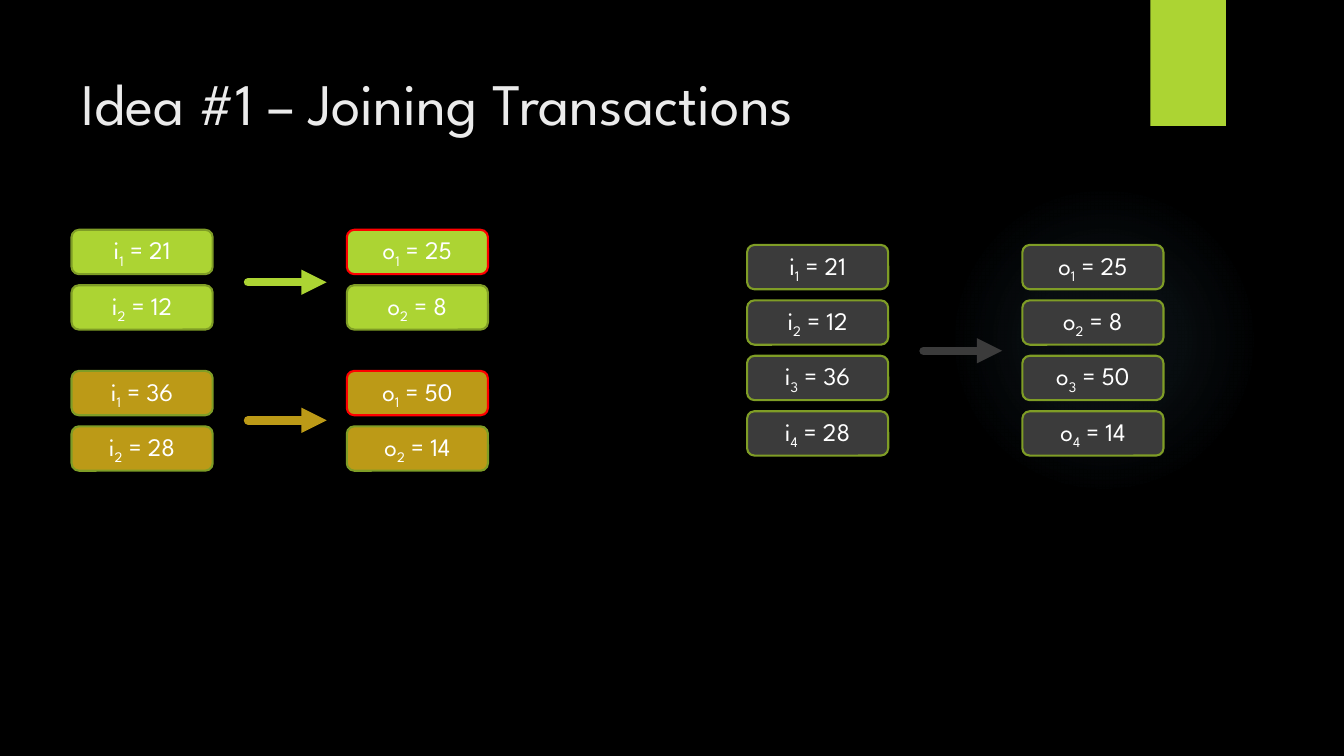
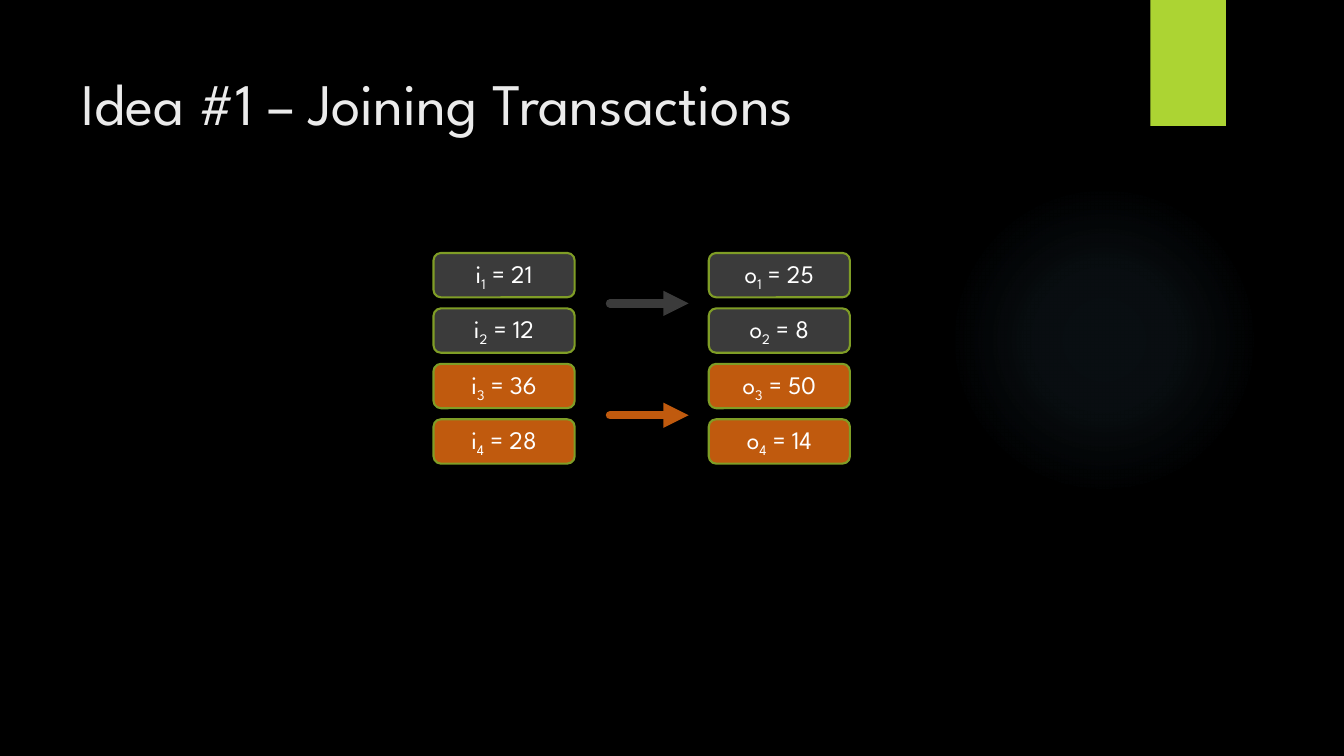
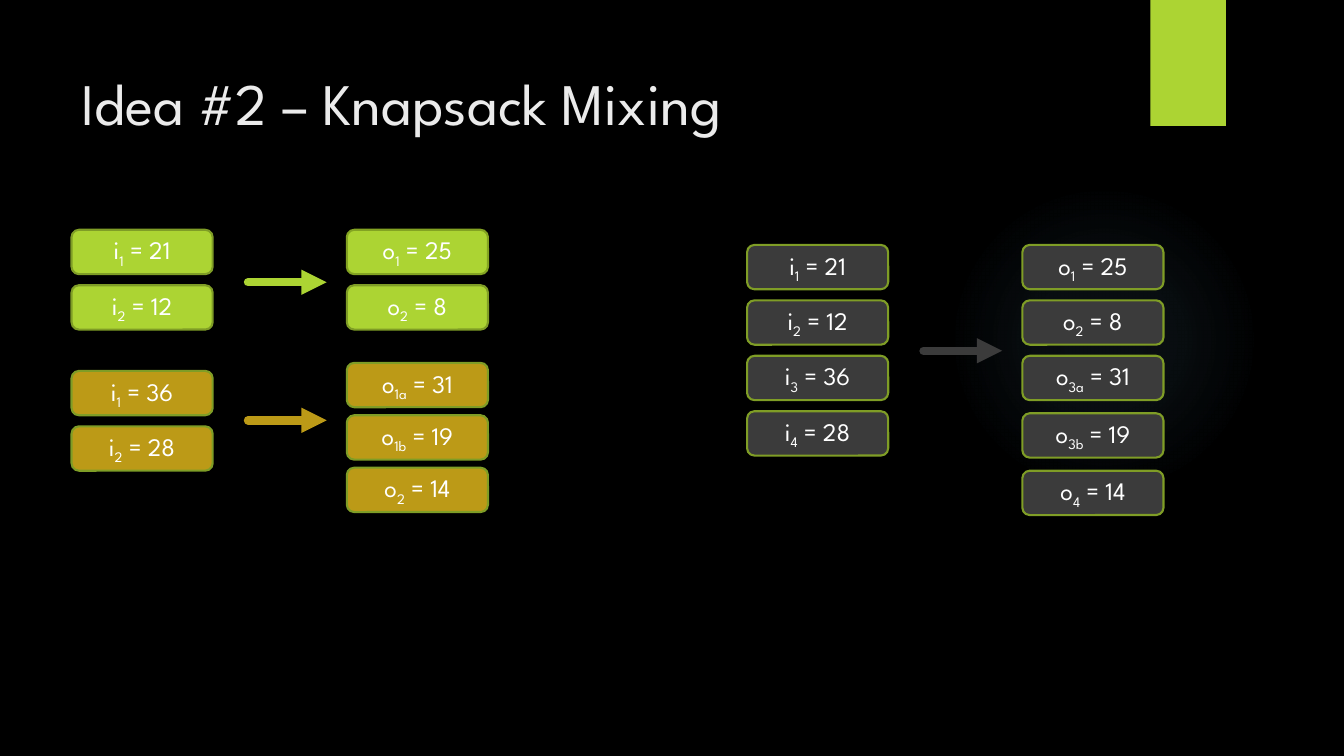
"""Build three slides on joining transactions and knapsack mixing."""
from lxml import etree
from pptx import Presentation, util as u
from pptx.dml.color import RGBColor
from pptx.enum import shapes, text
from pptx.oxml import parse_xml
from pptx.oxml.ns import nsdecls, qn

BLACK = RGBColor(0x00, 0x00, 0x00)
WHITE = RGBColor(0xFF, 0xFF, 0xFF)
TITLE_GREY = RGBColor(0xEB, 0xEB, 0xEB)
LIME = RGBColor(0xAC, 0xD4, 0x33)
OLIVE = RGBColor(0x7F, 0x9D, 0x26)
MOSS = RGBColor(0x83, 0xA3, 0x22)
GOLD = RGBColor(0xBC, 0x9A, 0x17)
ORANGE = RGBColor(0xC0, 0x5A, 0x0E)
CHARCOAL = RGBColor(0x3B, 0x3B, 0x3B)
RED = RGBColor(0xFF, 0x00, 0x00)
GLOW = RGBColor(0x7A, 0xC4, 0xF0)
GLOW_STOPS = [(0, 7), (36, 6), (69, 0)]

FONT = "League Spartan"
BOX_W, BOX_H, PITCH = 1.4, 0.44, 0.55
OUTPUT_DX, ARROW_DX, ARROW_W = 2.73, 1.75, 0.78
LEFT_X, MIDDLE_X, RIGHT_X = 0.71, 4.3, 7.41

FIRST_IN = [("1", 21), ("2", 12)]
FIRST_OUT = [("1", 25), ("2", 8)]
SECOND_IN = [("1", 36), ("2", 28)]
SECOND_OUT = [("1", 50), ("2", 14)]
JOINED_IN = [("3", 36), ("4", 28)]
JOINED_OUT = [("3", 50), ("4", 14)]


def transaction(x, color, arrow_y, inputs, *outputs, first_line=OLIVE):
    return dict(x=x, color=color, arrow_y=arrow_y, inputs=inputs,
                outputs=outputs, first_line=first_line)


SLIDES = [
    ("Idea #1 – Joining Transactions", 10.29, 1.53, [
        transaction(LEFT_X, LIME, 2.8, (2.28, PITCH, FIRST_IN),
                    (2.28, PITCH, FIRST_OUT), first_line=RED),
        transaction(LEFT_X, GOLD, 4.17, (3.68, PITCH, SECOND_IN),
                    (3.68, PITCH, SECOND_OUT), first_line=RED),
        transaction(RIGHT_X, CHARCOAL, 3.48, (2.43, PITCH, FIRST_IN + JOINED_IN),
                    (2.43, PITCH, FIRST_OUT + JOINED_OUT)),
    ]),
    ("Idea #1 – Joining Transactions", 10.29, 1.53, [
        transaction(MIDDLE_X, CHARCOAL, 3.01, (2.51, PITCH, FIRST_IN),
                    (2.51, PITCH, FIRST_OUT)),
        transaction(MIDDLE_X, ORANGE, 4.12, (3.61, PITCH, JOINED_IN),
                    (3.61, PITCH, JOINED_OUT)),
    ]),
    ("Idea #2 – Knapsack Mixing", 10.22, 0.87, [
        transaction(LEFT_X, LIME, 2.8, (2.28, PITCH, FIRST_IN),
                    (2.28, PITCH, FIRST_OUT), first_line=MOSS),
        transaction(LEFT_X, GOLD, 4.17, (3.68, PITCH, SECOND_IN),
                    (3.6, 0.52, [("1a", 31), ("1b", 19), ("2", 14)])),
        transaction(RIGHT_X, CHARCOAL, 3.48, (2.43, PITCH, FIRST_IN + JOINED_IN),
                    (2.43, PITCH, FIRST_OUT),
                    (3.53, 0.57, [("3a", 31), ("3b", 19), ("4", 14)])),
    ]),
]


def inches(*lengths):
    return [u.Inches(length) for length in lengths]


def add_run(paragraph, words, size, color):
    run = paragraph.add_run()
    run.text = words
    for name, value in dict(name=FONT, size=u.Pt(size)).items():
        setattr(run.font, name, value)
    run.font.color.rgb = color
    return run


def add_block(slide, preset, area, fill, line=None):
    block = slide.shapes.add_shape(preset, *inches(*area))
    block.shadow.inherit = False
    block.fill.solid()
    block.fill.fore_color.rgb = fill
    if line is None:
        block.line.fill.background()
    else:
        block.line.color.rgb = line
        block.line.width = u.Pt(1.5)
    return block


def add_glow(slide):
    glow = add_block(slide, shapes.MSO_SHAPE.OVAL, (9.41, 1.83, 3.08, 3.08), GLOW)
    stops = "".join(
        f'<a:gs pos="{position * 1000}"><a:srgbClr val="{GLOW}">'
        f'<a:alpha val="{alpha * 1000}"/></a:srgbClr></a:gs>'
        for position, alpha in GLOW_STOPS)
    gradient = parse_xml(
        f'<a:gradFill {nsdecls("a")}><a:gsLst>{stops}</a:gsLst><a:path path="circle">'
        '<a:fillToRect l="50000" t="50000" r="50000" b="50000"/></a:path></a:gradFill>')
    properties = glow._element.spPr
    properties.replace(properties.find(qn("a:solidFill")), gradient)


def add_title(slide, words, width, height):
    title = slide.shapes.add_textbox(*inches(0.71, 0.5, width, height))
    frame = title.text_frame
    layout = dict(word_wrap=True, vertical_anchor=text.MSO_ANCHOR.TOP,
                  margin_top=u.Inches(0.16))
    for name, value in layout.items():
        setattr(frame, name, value)
    add_run(frame.paragraphs[0], words, 42, TITLE_GREY)


def add_amount(slide, x, y, letter, index, amount, fill, line):
    box = add_block(slide, shapes.MSO_SHAPE.ROUNDED_RECTANGLE,
                    (x, y, BOX_W, BOX_H), fill, line)
    box.text_frame.vertical_anchor = text.MSO_ANCHOR.MIDDLE
    label = box.text_frame.paragraphs[0]
    label.alignment = text.PP_ALIGN.CENTER
    for words, baseline in ((letter, 0), (index, -25000), (f" = {amount}", 0)):
        run = add_run(label, words, 18, WHITE)
        if baseline:
            run.font._element.set("baseline", str(baseline))


def add_arrow(slide, x, y, color):
    arrow = slide.shapes.add_connector(
        shapes.MSO_CONNECTOR.STRAIGHT, *inches(x, y, x + ARROW_W, y))
    arrow.line.color.rgb = color
    arrow.line.width = u.Pt(6)
    line = arrow.line._get_or_add_ln()
    line.set("cap", "rnd")
    etree.SubElement(line, qn("a:tailEnd"), type="triangle")
    etree.SubElement(arrow._element.spPr, qn("a:effectLst"))


def add_transaction(slide, x, color, arrow_y, inputs, outputs, first_line):
    stacks = [("i", x, inputs)] + [("o", x + OUTPUT_DX, stack) for stack in outputs]
    for letter, left, (top, pitch, amounts) in stacks:
        for row, (index, amount) in enumerate(amounts):
            line = first_line if (letter, index) == ("o", "1") else OLIVE
            add_amount(slide, left, top + row * pitch, letter, index, amount, color, line)
    add_arrow(slide, x + ARROW_DX, arrow_y, color)


def main():
    deck = Presentation()
    deck.slide_width, deck.slide_height = inches(13.33, 7.5)
    backdrop = deck.slide_master.background.fill
    backdrop.solid()
    backdrop.fore_color.rgb = BLACK
    for title, width, height, transactions in SLIDES:
        slide = deck.slides.add_slide(deck.slide_layouts[6])
        add_glow(slide)
        add_block(slide, shapes.MSO_SHAPE.RECTANGLE, (11.41, 0, 0.75, 1.25), LIME)
        add_title(slide, title, width, height)
        for parts in transactions:
            add_transaction(slide, **parts)
    deck.save("out.pptx")


if __name__ == "__main__":
    main()
